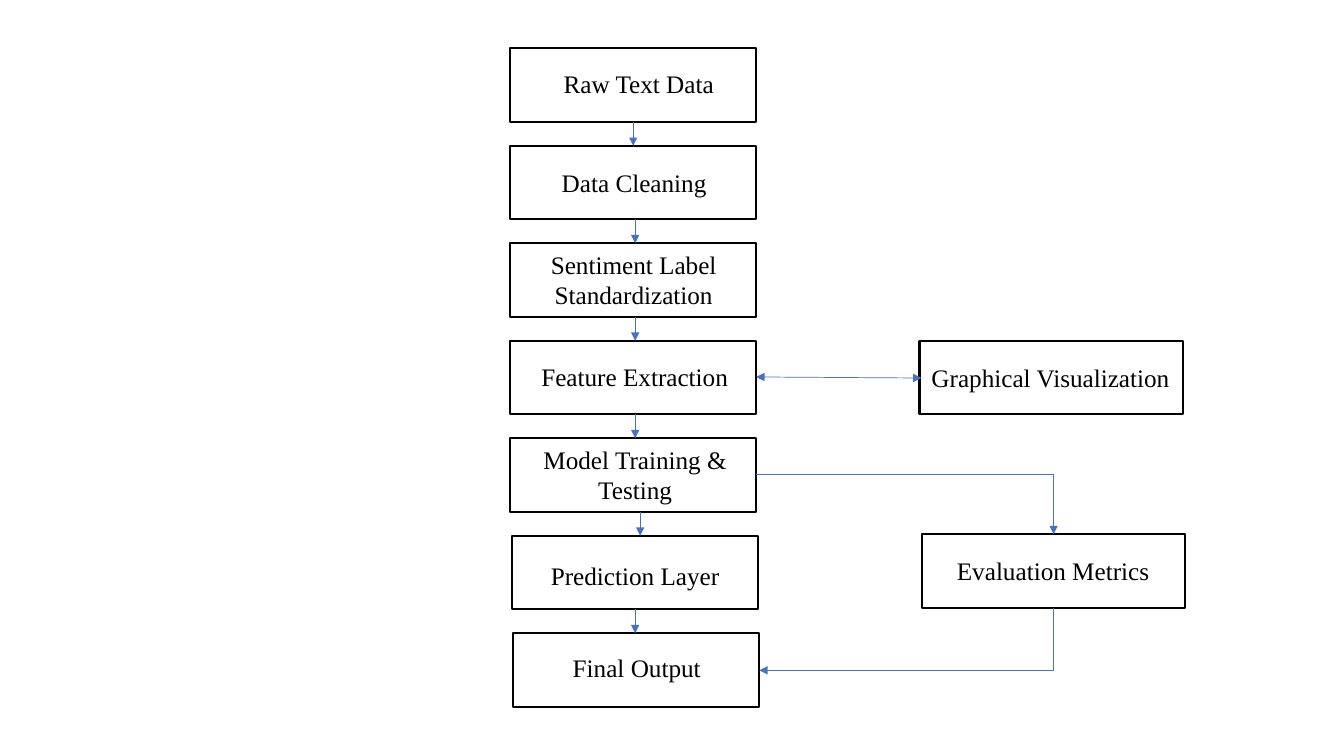
import pptx
import pptx.util
import pptx.dml.color
import pptx.enum.shapes
import pptx.enum.text
import pptx.oxml
import pptx.oxml.ns

Inches = pptx.util.Inches
Pt = pptx.util.Pt
ALIGN = pptx.enum.text.PP_ALIGN
CONNECTOR = pptx.enum.shapes.MSO_CONNECTOR

COLORS = {"ink": "000000", "arrow": "4472C4"}
FONT = {"name": "Times New Roman", "size": Pt(18)}
FRAME = {"word_wrap": True, "auto_size": pptx.enum.text.MSO_AUTO_SIZE.SHAPE_TO_FIT_TEXT}

BOX_H = 0.73
STEP_W = 2.44
SIDE_W = 2.61
FIRST_TOP = 0.48
PITCH = 0.967

STEPS = [
    ("Raw Text Data", 5.06, (5.43, 0.63, 1.81, 0.4)),
    ("Data Cleaning", 5.06, (5.34, 1.61, 1.9, 0.4)),
    ("Sentiment Label Standardization", 5.06, (5.04, 2.42, 2.49, 0.71)),
    ("Feature Extraction", 5.06, (5.09, 3.54, 2.41, 0.4)),
    ("Model Training & Testing", 5.06, (5.18, 4.36, 2.24, 0.71)),
    ("Prediction Layer", 5.08, (5.18, 5.51, 2.24, 0.4)),
    ("Final Output", 5.09, (5.47, 6.42, 1.69, 0.4)),
]
SIDES = [
    ("Graphical Visualization", (9.12, 3.38), (9.14, 3.55, SIDE_W, 0.4), ALIGN.LEFT),
    ("Evaluation Metrics", (9.14, 5.3), (9.14, 5.46, SIDE_W, 0.4), ALIGN.CENTER),
]
STEP_ARROW_X = [6.28, 6.3, 6.3, 6.3, 6.35, 6.3]


def rgb(name):
    return pptx.dml.color.RGBColor.from_string(COLORS[name])


def apply(target, values):
    for key, value in values.items():
        setattr(target, key, value)


def add_box(s, left, top, width):
    sp = s.shapes.add_shape(pptx.enum.shapes.MSO_SHAPE.RECTANGLE,
                            Inches(left), Inches(top), Inches(width), Inches(BOX_H))
    sp.shadow.inherit = False
    sp.fill.background()
    sp.line.color.rgb = rgb("ink")
    sp.line.width = Pt(1.5)


def add_label(s, text, place, align=ALIGN.CENTER):
    tf = s.shapes.add_textbox(*[Inches(v) for v in place]).text_frame
    apply(tf, FRAME)
    p = tf.paragraphs[0]
    p.alignment = align
    r = p.add_run()
    r.text = text
    apply(r.font, FONT)
    r.font.color.rgb = rgb("ink")


def add_arrow(s, start, end, kind=CONNECTOR.STRAIGHT, ends=("tailEnd",)):
    cx = s.shapes.add_connector(kind, *[Inches(v) for v in start + end])
    cx.line.color.rgb = rgb("arrow")
    cx.line.width = Pt(0.5)
    ln = cx.line._get_or_add_ln()
    for name in ends:
        pptx.oxml.ns.qn("a:" + name)
        ln.append(pptx.oxml.parse_xml(
            f'<a:{name} {pptx.oxml.ns.nsdecls("a")} type="triangle"/>'))
    cx._element.spPr.append(pptx.oxml.parse_xml(
        f'<a:effectLst {pptx.oxml.ns.nsdecls("a")}/>'))
    return cx


def add_corner_arrow(s, start, end, rotation=0):
    cx = add_arrow(s, start, end, CONNECTOR.ELBOW)
    spPr = cx._element.spPr
    geom = spPr.find(pptx.oxml.ns.qn("a:prstGeom"))
    geom.set("prst", "bentConnector2")
    if rotation:
        xfrm = spPr.find(pptx.oxml.ns.qn("a:xfrm"))
        xfrm.attrib.pop("flipH", None)
        xfrm.set("rot", str(rotation * 60000))
        width, height = abs(end[0] - start[0]), abs(end[1] - start[1])
        mid_x, mid_y = (start[0] + end[0]) / 2, (start[1] + end[1]) / 2
        apply(cx, {"left": Inches(mid_x - height / 2), "top": Inches(mid_y - width / 2),
                   "width": Inches(height), "height": Inches(width)})


def main():
    prs = pptx.Presentation()
    apply(prs, {"slide_width": Inches(13.33), "slide_height": Inches(7.5)})
    s = prs.slides.add_slide(prs.slide_layouts[6])

    for i, (text, left, place) in enumerate(STEPS):
        add_box(s, left, FIRST_TOP + i * PITCH, STEP_W)
        add_label(s, text, place)
    for text, corner, place, align in SIDES:
        add_box(s, *corner, SIDE_W)
        add_label(s, text, place, align)

    for i, x in enumerate(STEP_ARROW_X):
        top = FIRST_TOP + i * PITCH
        add_arrow(s, (x, top + BOX_H), (x, top + PITCH))
    add_arrow(s, (7.5, 3.74), (9.14, 3.75), ends=("headEnd", "tailEnd"))
    add_corner_arrow(s, (7.5, 4.71), (10.45, 5.3))
    add_corner_arrow(s, (10.45, 6.03), (7.53, 6.65), rotation=90)

    prs.save("out.pptx")


if __name__ == "__main__":
    main()
